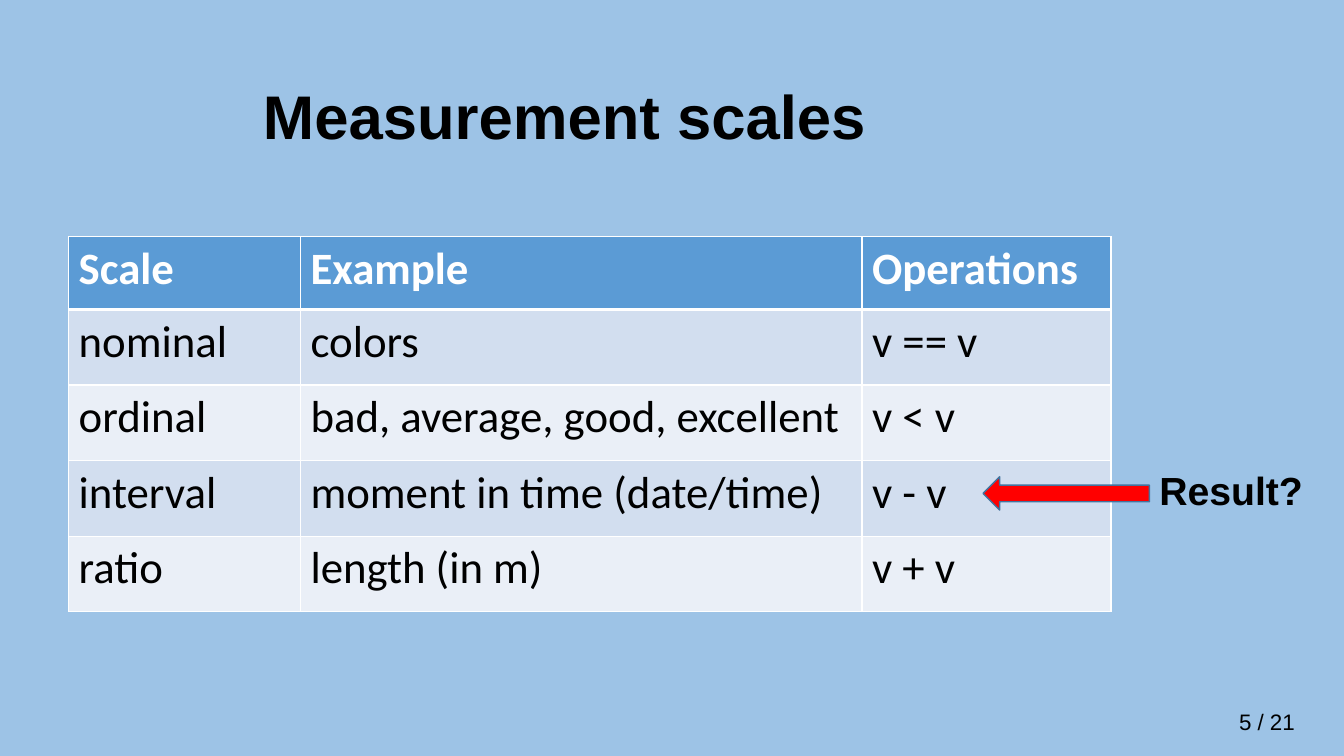
from lxml.etree import SubElement
from pptx import Presentation
from pptx.dml.color import RGBColor
from pptx.enum.shapes import MSO_SHAPE as Preset
from pptx.enum.text import MSO_ANCHOR as Anchor
from pptx.oxml.ns import qn
from pptx.util import Inches, Pt

BACKGROUND = RGBColor(0x9D, 0xC3, 0xE6)
HEADER_FILL = RGBColor(0x5B, 0x9B, 0xD5)
BAND_FILLS = [RGBColor(0xD2, 0xDE, 0xEF), RGBColor(0xEA, 0xEF, 0xF7)]
ARROW_FILL = RGBColor(0xFF, 0x00, 0x00)
ARROW_LINE = RGBColor(0x43, 0x73, 0x9E)
BLACK = RGBColor(0x00, 0x00, 0x00)
WHITE = RGBColor(0xFF, 0xFF, 0xFF)

COLUMN_WIDTHS = [2.3, 5.57, 2.47]
HEADER_HEIGHT = 0.72
ROW_HEIGHT = 0.75
SCALES = [
    ("Scale", "Example", "Operations"),
    ("nominal", "colors", "v == v"),
    ("ordinal", "bad, average, good, excellent", "v < v"),
    ("interval", "moment in time (date/time)", "v - v"),
    ("ratio", "length (in m)", "v + v"),
]


def add_run(paragraph, text, size, font_name="Arial", color=BLACK, bold=False):
    """Add one formatted run to a paragraph."""
    run = paragraph.add_run()
    run.text = text
    run.font.size = Pt(size)
    run.font.name = font_name
    run.font.bold = bold
    run.font.color.rgb = color


def add_label(slide, box, text, size, bold=False, anchor=Anchor.TOP,
              line_spacing=1.0, space_before=0):
    """Add a wrapped text box with a single paragraph."""
    frame = slide.shapes.add_textbox(*map(Inches, box)).text_frame
    frame.word_wrap = True
    frame.vertical_anchor = anchor
    paragraph = frame.paragraphs[0]
    paragraph.line_spacing = line_spacing
    paragraph.space_before = Pt(space_before)
    add_run(paragraph, text, size, bold=bold)


def set_borders(cell, top, bottom):
    """Draw white borders of the given point widths around a cell."""
    properties = cell._tc.get_or_add_tcPr()
    widths = {"a:lnL": 1, "a:lnR": 1, "a:lnT": top, "a:lnB": bottom}
    for position, (side, width) in enumerate(widths.items()):
        line = SubElement(properties, qn(side), w=str(Pt(width)))
        fill = SubElement(line, qn("a:solidFill"))
        SubElement(fill, qn("a:srgbClr"), val=str(WHITE))
        properties.insert(position, line)


def add_scale_table(slide, left, top):
    """Add the table of measurement scales with its header and bands."""
    heights = [HEADER_HEIGHT] + [ROW_HEIGHT] * (len(SCALES) - 1)
    table = slide.shapes.add_table(
        len(SCALES), len(COLUMN_WIDTHS), Inches(left), Inches(top),
        Inches(sum(COLUMN_WIDTHS)), Inches(sum(heights))).table
    for column, width in zip(table.columns, COLUMN_WIDTHS):
        column.width = Inches(width)
    for index, (values, height) in enumerate(zip(SCALES, heights)):
        table.rows[index].height = Inches(height)
        header = index == 0
        for cell, value in zip(table.rows[index].cells, values):
            cell.fill.solid()
            cell.fill.fore_color.rgb = HEADER_FILL if header else BAND_FILLS[(index - 1) % 2]
            set_borders(cell, top=3 if index == 1 else 1, bottom=3 if header else 1)
            add_run(cell.text_frame.paragraphs[0], value, 32, "Calibri",
                    WHITE if header else BLACK, header)


def add_arrow(slide, box):
    """Add a red block arrow that points left."""
    arrow = slide.shapes.add_shape(Preset.RIGHT_ARROW, *map(Inches, box))
    arrow.rotation = 180
    arrow.shadow.inherit = False
    arrow.fill.solid()
    arrow.fill.fore_color.rgb = ARROW_FILL
    arrow.line.color.rgb = ARROW_LINE
    arrow.line.width = Pt(1)


def main():
    """Build the measurement scales slide and save it."""
    presentation = Presentation()
    presentation.slide_width = Inches(13.33)
    presentation.slide_height = Inches(7.5)
    slide = presentation.slides.add_slide(presentation.slide_layouts[6])
    slide.background.fill.solid()
    slide.background.fill.fore_color.rgb = BACKGROUND

    add_label(slide, (12.19, 6.98, 1.29, 0.37), "5 / 21", 16)
    add_label(slide, (2.51, 0.46, 11.5, 1.45), "Measurement scales", 44,
              bold=True, anchor=Anchor.MIDDLE, line_spacing=0.9)
    add_scale_table(slide, 0.68, 2.35)
    add_arrow(slide, (9.75, 4.73, 1.65, 0.33))
    add_label(slide, (11.4, 4.63, 2.09, 0.62), "Result?", 28,
              bold=True, line_spacing=0.9, space_before=10)
    presentation.save("out.pptx")


if __name__ == "__main__":
    main()
